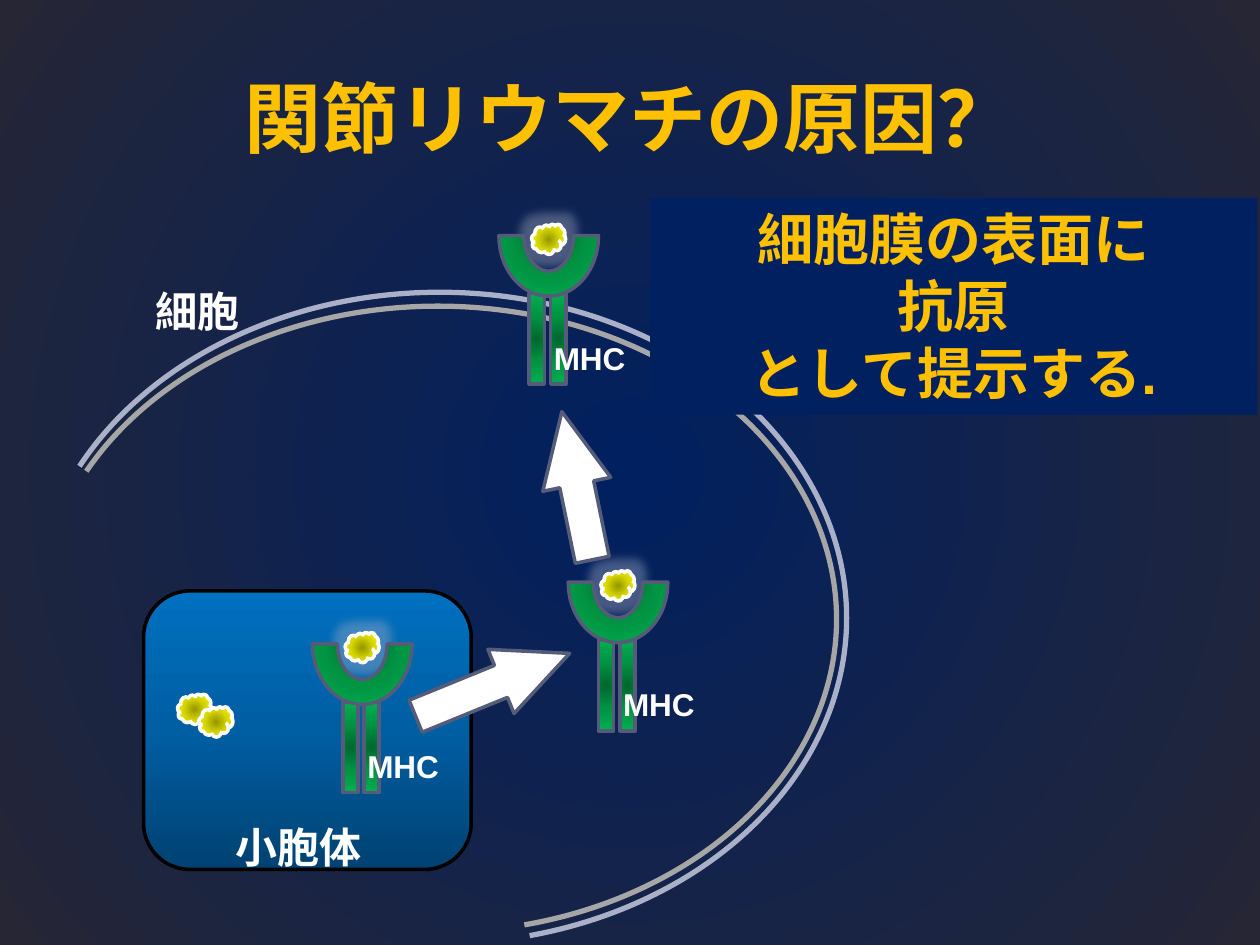
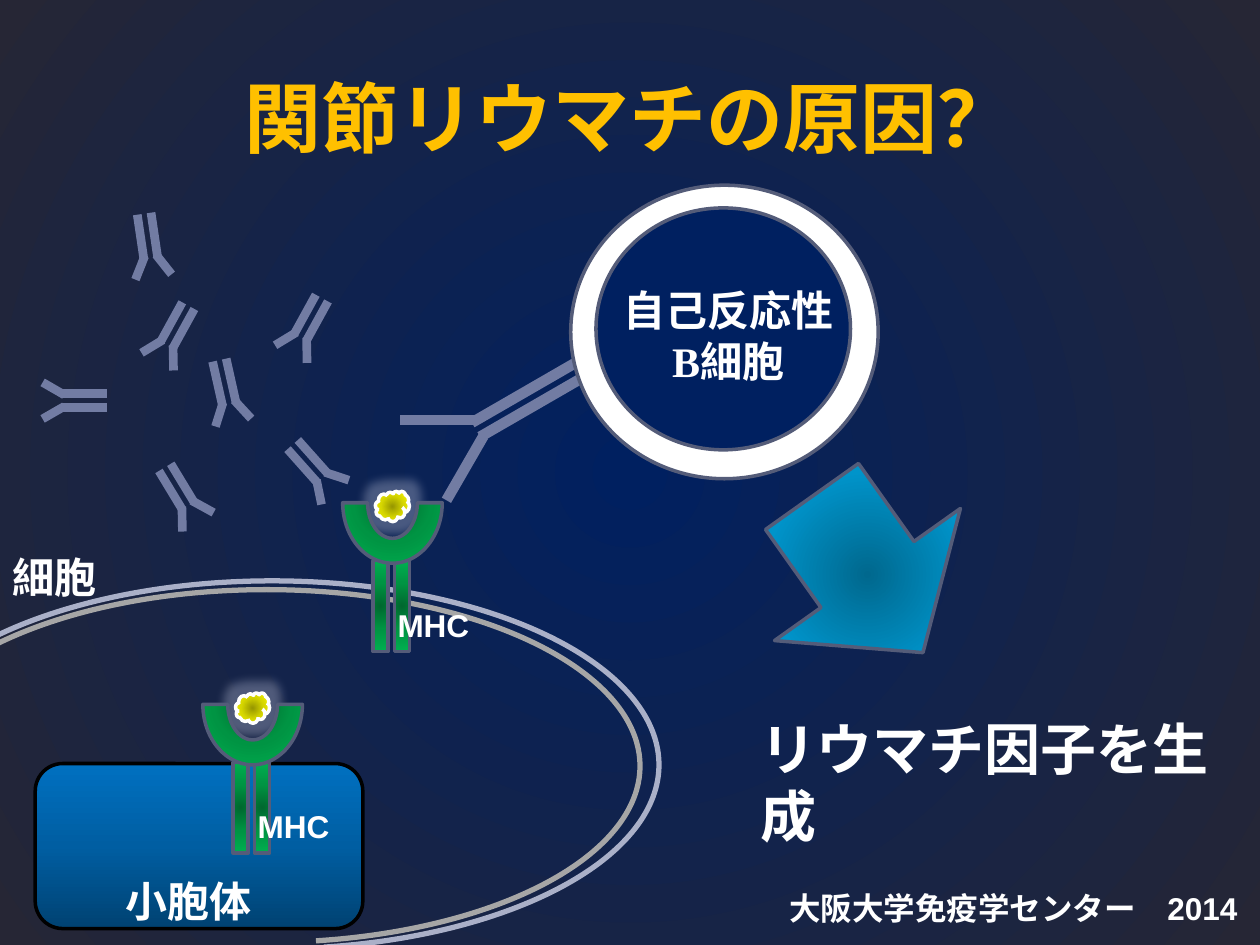
"""Two slides on how antigen presentation may lead to rheumatoid arthritis."""
from math import cos, radians, sin

from pptx import Presentation
from pptx.dml.color import RGBColor
from pptx.enum.shapes import MSO_SHAPE
from pptx.enum.text import MSO_ANCHOR, PP_ALIGN
from pptx.oxml import parse_xml
from pptx.oxml.ns import nsdecls, qn
from pptx.util import Cm, Pt

CENTER, LEFT, RIGHT = PP_ALIGN.CENTER, PP_ALIGN.LEFT, PP_ALIGN.RIGHT
TOP, MIDDLE = MSO_ANCHOR.TOP, MSO_ANCHOR.MIDDLE
RECT, ROUND_RECT, OVAL = MSO_SHAPE.RECTANGLE, MSO_SHAPE.ROUNDED_RECTANGLE, MSO_SHAPE.OVAL
ARC, BLOCK_ARC, CLOUD = MSO_SHAPE.ARC, MSO_SHAPE.BLOCK_ARC, MSO_SHAPE.CLOUD
RIGHT_ARROW, DOWN_ARROW, BAR = MSO_SHAPE.RIGHT_ARROW, MSO_SHAPE.DOWN_ARROW, MSO_SHAPE.MATH_MINUS

WHITE = RGBColor(0xFF, 0xFF, 0xFF)
BLACK = RGBColor(0x00, 0x00, 0x00)
GOLD = RGBColor(0xFF, 0xC0, 0x00)
NAVY = RGBColor(0x00, 0x20, 0x60)
DUSK = RGBColor(0x26, 0x26, 0x35)
SLATE = RGBColor(0x54, 0x5C, 0x79)
ANTIBODY = RGBColor(0x72, 0x7C, 0xA3)
OUTER_MEMBRANE = RGBColor(0xAA, 0xB0, 0xC8)
INNER_MEMBRANE = RGBColor(0xA6, 0xA6, 0xA6)
BACKDROP = (NAVY, DUSK)
GREENS = (RGBColor(0x00, 0x68, 0x2F), RGBColor(0x00, 0x94, 0x43), RGBColor(0x00, 0xB0, 0x50))
YELLOWS = (RGBColor(0x97, 0x97, 0x00), RGBColor(0xD7, 0xD7, 0x00), RGBColor(0xFF, 0xFF, 0x00))
BLUES = (RGBColor(0x00, 0x42, 0x72), RGBColor(0x00, 0x5E, 0xA2), RGBColor(0x00, 0x70, 0xC0))
CYANS = (RGBColor(0x00, 0x68, 0x8E), RGBColor(0x00, 0x94, 0xCA), RGBColor(0x00, 0xB0, 0xF0))
SERIF, SANS = "Times New Roman", "Arial"

CM_PER_UNIT = 2.54
TITLE = "関節リウマチの原因？"
TITLE_BOX = (0.5, 0.3, 9, 1.25)
MEMBRANE_SWEEP = (121.7, 44.51)
PEPTIDE_SIZE = (0.27, 0.24)

PRESENTATION = {
    "vesicle": (1.14, 4.69, 2.6, 2.21),
    "vesicle_label": (1.27, 6.47, 2.2, 0.5),
    "membranes": [(0.26, 2.32, 6.46, 5.17), (0.31, 2.43, 6.33, 4.97)],
    "cell_label": (0.47, 2.22, 2.2, 0.5),
    "receptors": [(2.48, 4.63), (4.51, 4.14), (3.96, 1.39)],
}
AUTOIMMUNITY = {
    "vesicle": (0.28, 6.06, 2.6, 1.31),
    "vesicle_label": (0.4, 6.9, 2.2, 0.5),
    "membranes": [(-0.91, 4.61, 6.14, 2.92), (-0.85, 4.68, 5.93, 2.8)],
    "cell_label": (-0.67, 4.33, 2.2, 0.5),
    "receptors": [(1.61, 5.11), (2.72, 3.51)],
}
FREE_PEPTIDES = [(1.41, 5.51), (1.58, 5.61)]
TRANSPORT_ARROWS = [((3.25, 5.16, 1.32, 0.55), 337.8), ((3.98, 3.58, 1.2, 0.55), 258.4)]
ANTIGEN_NOTE = ["細胞膜の表面に", "抗原", "として提示する."]

BOUND_ANTIBODY = dict(stem=1.42, arm=0.8, height=0.36, stem_gap=0.065, arm_shift=(0.75, 0.22))
FREE_ANTIBODY = dict(stem=0.48, arm=0.27, height=0.29, stem_gap=0.055, arm_shift=(0.245, 0.095))
FREE_ANTIBODIES = [
    (1.78, 3.03, 257.4), (1.4, 3.86, 238.8), (2.44, 3.66, 228.3), (1.41, 2.58, 298.8),
    (0.67, 3.18, 0), (2.47, 2.52, 298.8), (1.17, 1.87, 261.6),
]
B_CELL = [((4.53, 1.47, 2.44, 2.33), WHITE), ((4.73, 1.65, 2.02, 1.92), NAVY)]


def lengths(box):
    return [Cm(value * CM_PER_UNIT) for value in box]


def gradient(colors, angle=None):
    stops = "".join(
        f'<a:gs pos="{100000 * i // (len(colors) - 1)}"><a:srgbClr val="{color}"/></a:gs>'
        for i, color in enumerate(colors))
    if angle is None:
        course = '<a:path path="circle"><a:fillToRect l="50000" t="50000" r="50000" b="50000"/></a:path>'
    else:
        course = f'<a:lin ang="{angle * 60000}" scaled="0"/>'
    return parse_xml(f'<a:gradFill {nsdecls("a")} rotWithShape="1"><a:gsLst>{stops}</a:gsLst>{course}</a:gradFill>')


def paint(fill, holder, colors, angle=None):
    fill.solid()
    solid = holder.find(qn("a:solidFill"))
    holder.replace(solid, gradient(colors, angle))


def add_figure(shapes, kind, box, fill=None, line=None, width=2, rotation=0, adjust=(), angle=None):
    figure = shapes.add_shape(kind, *lengths(box))
    figure.shadow.inherit = False
    figure.rotation = rotation
    for i, value in enumerate(adjust):
        figure.adjustments[i] = value
    if fill is None:
        figure.fill.background()
    elif isinstance(fill, RGBColor):
        figure.fill.solid()
        figure.fill.fore_color.rgb = fill
    else:
        paint(figure.fill, figure.element.spPr, fill, angle)
    if line is None:
        figure.line.fill.background()
    else:
        figure.line.color.rgb = line
        figure.line.width = Pt(width)
    return figure


def add_label(slide, box, lines, size, font=SERIF, color=WHITE, align=CENTER, anchor=TOP, fill=None):
    label = slide.shapes.add_textbox(*lengths(box))
    if fill is not None:
        label.fill.solid()
        label.fill.fore_color.rgb = fill
    frame = label.text_frame
    frame.word_wrap = True
    frame.vertical_anchor = anchor
    frame.text = "\n".join(lines)
    for paragraph in frame.paragraphs:
        paragraph.alignment = align
        paragraph.font.size = Pt(size)
        paragraph.font.bold = True
        paragraph.font.name = font
        paragraph.font.color.rgb = color


def add_peptide(slide, left, top, glowing=False):
    peptide = add_figure(slide.shapes, CLOUD, (left, top, *PEPTIDE_SIZE), YELLOWS, WHITE)
    if glowing:
        peptide.element.spPr.find(qn("a:effectLst")).append(parse_xml(
            f'<a:glow {nsdecls("a")} rad="139700"><a:srgbClr val="{OUTER_MEMBRANE}">'
            '<a:alpha val="40000"/></a:srgbClr></a:glow>'))


def add_receptor(slide, left, top):
    add_peptide(slide, left + 0.26, top + 0.39, glowing=True)
    parts = slide.shapes.add_group_shape().shapes
    for stalk_shift in (0.11, -0.06):
        stalk = (left + stalk_shift, top + 1.24, 0.72, 0.12)
        add_figure(parts, RECT, stalk, GREENS, SLATE, rotation=90)
    add_figure(parts, BLOCK_ARC, (left, top, 0.79, 0.96), GREENS, SLATE, rotation=180)
    add_label(slide, (left + 0.32, top + 1.25, 0.8, 0.4), ["MHC"], 18, SANS)


def add_antibody(slide, x, y, turn, stem, arm, height, stem_gap, arm_shift):
    parts = slide.shapes.add_group_shape().shapes
    cosine, sine = cos(radians(turn)), sin(radians(turn))
    arm_dx, arm_dy = arm_shift
    for length, dx, dy, tilt in (
            (stem, 0, -stem_gap, 0), (stem, 0, stem_gap, 0),
            (arm, -arm_dx, -arm_dy, 30), (arm, -arm_dx, arm_dy, -30)):
        center_x = x + dx * cosine - dy * sine
        center_y = y + dx * sine + dy * cosine
        box = (center_x - length / 2, center_y - height / 2, length, height)
        add_figure(parts, BAR, box, ANTIBODY, rotation=(turn + tilt) % 360)


def add_cell_slide(deck, cell, peptides=()):
    slide = deck.slides.add_slide(deck.slide_layouts[6])
    add_figure(slide.shapes, ROUND_RECT, cell["vesicle"], BLUES, BLACK, angle=270)
    add_label(slide, cell["vesicle_label"], ["小胞体"], 24)
    for left, top in peptides:
        add_peptide(slide, left, top)
    add_label(slide, TITLE_BOX, [TITLE], 44, color=GOLD, anchor=MIDDLE)
    for box, color in zip(cell["membranes"], (OUTER_MEMBRANE, INNER_MEMBRANE)):
        add_figure(slide.shapes, ARC, box, line=color, width=3, adjust=MEMBRANE_SWEEP)
    add_label(slide, cell["cell_label"], ["細胞"], 24)
    for left, top in cell["receptors"]:
        add_receptor(slide, left, top)
    return slide


def add_presentation_slide(deck):
    slide = add_cell_slide(deck, PRESENTATION, FREE_PEPTIDES)
    for box, turn in TRANSPORT_ARROWS:
        add_figure(slide.shapes, RIGHT_ARROW, box, WHITE, SLATE, rotation=turn, adjust=(0.5, 1.07))
    add_label(slide, (5.16, 1.57, 4.82, 1.72), ANTIGEN_NOTE, 32, SANS, GOLD, fill=NAVY)


def add_autoimmunity_slide(deck):
    slide = add_cell_slide(deck, AUTOIMMUNITY)
    add_antibody(slide, 4.23, 3.15, 330, **BOUND_ANTIBODY)
    for box, color in B_CELL:
        add_figure(slide.shapes, OVAL, box, color, SLATE)
    add_label(slide, (4.68, 2.21, 2.2, 0.91), ["自己反応性", "B細胞"], 24)
    add_figure(slide.shapes, DOWN_ARROW, (5.98, 3.8, 1.81, 1.52), CYANS, SLATE, rotation=324.6)
    add_label(slide, (5.94, 5.62, 3.94, 0.64), ["リウマチ因子を生成"], 32, align=LEFT)
    add_label(slide, (5.16, 7.01, 4.76, 0.4), ["大阪大学免疫学センター　2014"], 18, SANS, align=RIGHT)
    for x, y, turn in FREE_ANTIBODIES:
        add_antibody(slide, x, y, turn, **FREE_ANTIBODY)


def main():
    deck = Presentation()
    deck.slide_width, deck.slide_height = Cm(25.4), Cm(19.05)
    master = deck.slide_master
    fill = master.background.fill
    fill.solid()
    paint(fill, master.element.find(f'{qn("p:cSld")}/{qn("p:bg")}/{qn("p:bgPr")}'), BACKDROP)
    add_presentation_slide(deck)
    add_autoimmunity_slide(deck)
    deck.save("out.pptx")


if __name__ == "__main__":
    main()
